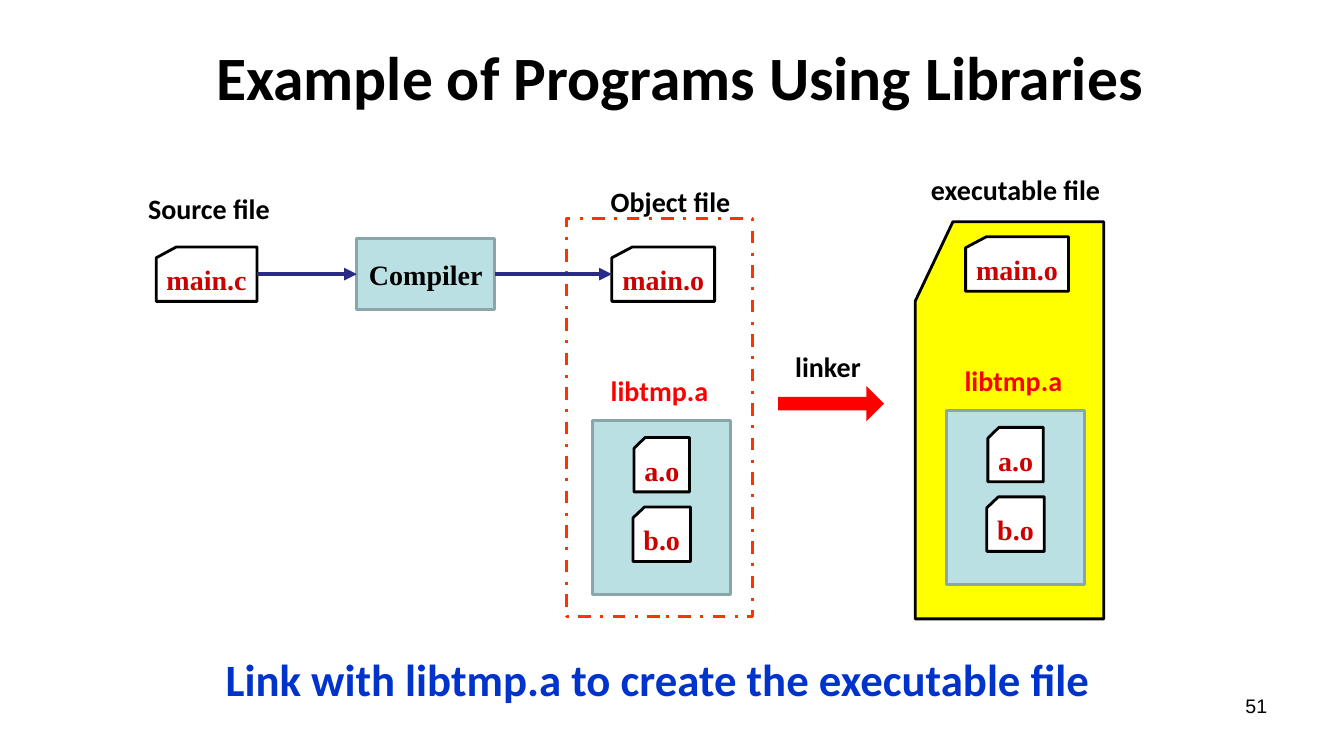
from pptx import Presentation
from pptx.dml.color import RGBColor
from pptx.enum.dml import MSO_LINE
from pptx.enum.shapes import MSO_CONNECTOR, MSO_SHAPE
from pptx.enum.text import MSO_ANCHOR, PP_ALIGN
from pptx.oxml.ns import qn
from pptx.util import Inches, Pt
from lxml.etree import SubElement


class Theme:
    black, white, red = "000000", "FFFFFF", "FF0000"
    code, blue, ink = "CC0000", "0033CC", "2A2A89"
    dash, gold = "FF3300", "FFFF00"
    teal, edge = "BBE0E3", "8AA6A8"
    sans, serif, plain = "Calibri", "Times New Roman", "Arial"
    head, note, body, small = 44, 32, 20, 14
    thin, mid, thick = 2, 2.25, 3


deck = Presentation()
deck.slide_width, deck.slide_height = Inches(13.33), Inches(7.5)
col, row = deck.slide_width / 40, deck.slide_height / 30
slide = deck.slides.add_slide(deck.slide_layouts[5])
shapes = slide.shapes


def write(item, text, size=Theme.body, face=Theme.sans, color=Theme.black,
          align=PP_ALIGN.LEFT, anchor=MSO_ANCHOR.TOP, wrap=True, bold=True):
    frame = item.text_frame
    frame.word_wrap = wrap
    frame.vertical_anchor = anchor
    frame.text = text
    para = frame.paragraphs[0]
    para.alignment = align
    para.font.size = Pt(size)
    para.font.name = face
    para.font.bold = bold
    para.font.color.rgb = RGBColor.from_string(color)


def draw(kind, x, y, w, h, fill=None, line=None, width=Theme.thin, text=None, color=Theme.black):
    item = shapes.add_shape(kind, int(x * col), int(y * row), int(w * col), int(h * row))
    item.shadow.inherit = False
    if fill:
        item.fill.solid()
        item.fill.fore_color.rgb = RGBColor.from_string(fill)
    else:
        item.fill.background()
    if line:
        item.line.color.rgb = RGBColor.from_string(line)
        item.line.width = Pt(width)
    else:
        item.line.fill.background()
    if text:
        write(item, text, face=Theme.serif, color=color,
              align=PP_ALIGN.CENTER, anchor=MSO_ANCHOR.MIDDLE, wrap=False)
    return item


title = shapes.title
title.left, title.top = int(2.04 * col), int(0.52 * row)
title.width, title.height = int(36 * col), int(5 * row)
write(title, " Example of Programs Using Libraries", Theme.head,
      align=PP_ALIGN.CENTER, anchor=MSO_ANCHOR.MIDDLE)

group = draw(MSO_SHAPE.RECTANGLE, 16.86, 8.68, 5.55, 15.8, line=Theme.dash, width=Theme.mid)
group.line.dash_style = MSO_LINE.DASH_DOT
draw(MSO_SHAPE.FLOWCHART_CARD, 27.24, 8.8, 5.61, 15.76, Theme.gold, Theme.black)
tool = draw(MSO_SHAPE.RECTANGLE, 10.62, 9.48, 4.11, 2.8, Theme.teal, Theme.edge, text="Compiler")

files = [("main.c", 4.65, 9.8, 3)]
labels = [
    ("Source file", 4.11, 7.4, 4.68, Theme.black, PP_ALIGN.LEFT),
    ("Object file", 17.88, 7.12, 4.68, Theme.black, PP_ALIGN.LEFT),
    ("executable file", 26.37, 6.64, 7.71, Theme.black, PP_ALIGN.CENTER),
    ("linker", 23.37, 13.68, 2.94, Theme.black, PP_ALIGN.LEFT),
]
for dx, dy in ((0, 0), (10.53, -0.4)):
    draw(MSO_SHAPE.RECTANGLE, 17.64 + dx, 16.68 + dy, 4.11, 6.92, Theme.teal, Theme.edge)
    labels.append(("libtmp.a", 17.88 + dx, 14.64 + dy, 4.11, Theme.red, PP_ALIGN.LEFT))
    files += [
        ("main.o", 18.21 + dx, 9.8 + dy, 3.06),
        ("a.o", 18.87 + dx, 17.36 + dy, 1.65),
        ("b.o", 18.84 + dx, 20.12 + dy, 1.71),
    ]

cards = [draw(MSO_SHAPE.FLOWCHART_CARD, x, y, w, 2.16, Theme.white, Theme.black,
              text=name, color=Theme.code) for name, x, y, w in files]

for name, x, y, w, color, align in labels:
    box = shapes.add_textbox(int(x * col), int(y * row), int(w * col), int(1.76 * row))
    write(box, name, color=color, align=align)

for start, end in ((cards[0], tool), (tool, cards[1])):
    link = shapes.add_connector(MSO_CONNECTOR.STRAIGHT, 0, 0, 0, 0)
    link.begin_connect(start, 3)
    link.end_connect(end, 1)
    link.line.color.rgb = RGBColor.from_string(Theme.ink)
    link.line.width = Pt(Theme.thick)
    SubElement(link.line._get_or_add_ln(), qn("a:tailEnd"), type="triangle")
    SubElement(link._element.spPr, qn("a:effectLst"))

arrow = draw(MSO_SHAPE.RIGHT_ARROW, 23.16, 15.32, 3.15, 1.4, Theme.red)
arrow.adjustments[0] = 0.38

note = shapes.add_textbox(int(6.42 * col), int(25.68 * row), int(26.58 * col), int(2.56 * row))
write(note, "Link with libtmp.a to create the executable file", Theme.note,
      color=Theme.blue, wrap=False)
page = shapes.add_textbox(int(28.68 * col), int(27.32 * row), int(9.33 * col), int(2.08 * row))
write(page, "51", Theme.small, Theme.plain, align=PP_ALIGN.RIGHT, bold=False)

deck.save("out.pptx")
